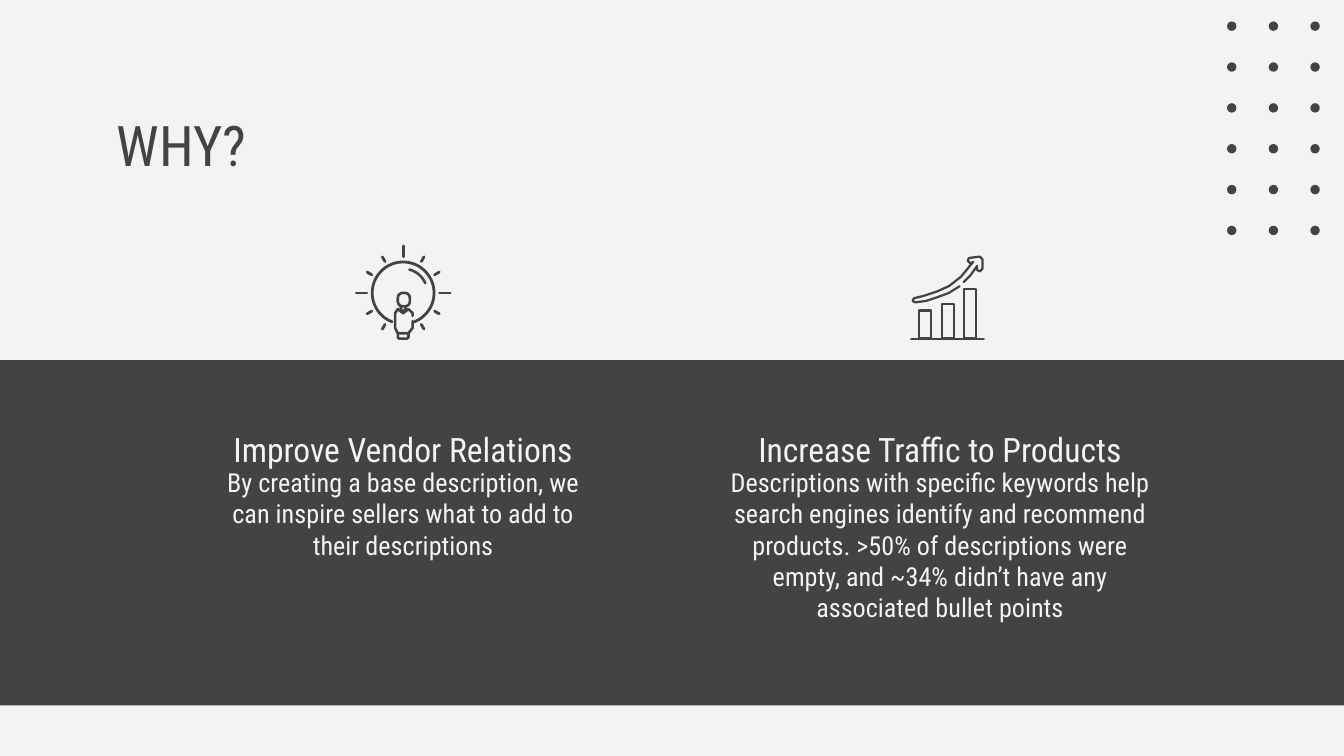
import dataclasses
import math
import typing

import pptx
import pptx.dml.color
import pptx.enum.shapes
import pptx.enum.text
import pptx.oxml.ns
import pptx.util
from lxml import etree

Inches = pptx.util.Inches
RGBColor = pptx.dml.color.RGBColor
Shape = pptx.enum.shapes.MSO_SHAPE
Anchor = pptx.enum.text.MSO_ANCHOR
Align = pptx.enum.text.PP_ALIGN
Point = typing.Tuple[float, float]

DARK = RGBColor(0x43, 0x43, 0x43)
LIGHT = RGBColor(0xF3, 0xF3, 0xF3)
FONT = "Roboto Condensed"
WIDE = 10
BULB = (3, 2.18)
BASE = 2.52


@dataclasses.dataclass
class Label:
    text: str
    left: float
    top: float
    width: float
    height: float
    size: int
    color: RGBColor = LIGHT
    align: Align = Align.CENTER
    anchor: Anchor = Anchor.TOP
    inset: float = 0.1
    after: int = 16


@dataclasses.dataclass
class Bar:
    left: float
    top: float


TITLE = Label("WHY?", 0.77, 0.72, 3.52, 0.91, 30, DARK, Align.LEFT, after=0)
LABELS = [
    Label("By creating a base description, we can inspire sellers what to add "
          "to their descriptions", 1.53, 3.37, 2.94, 1.2, 14),
    Label("Increase Traffic to Products", 5.38, 2.64, 3.23, 0.85, 18,
          anchor=Anchor.BOTTOM, inset=0),
    Label("Improve Vendor Relations", 1.53, 2.64, 2.94, 0.85, 18,
          anchor=Anchor.BOTTOM, inset=0),
    Label("Descriptions with specific keywords help search engines identify "
          "and recommend products. >50% of descriptions were empty, and ~34% "
          "didn’t have any associated bullet points",
          5.26, 3.37, 3.47, 1.2, 14),
]
BARS = [Bar(6.84, 2.31), Bar(7.01, 2.26), Bar(7.17, 2.15)]
BODY = [(3.07, 2.35), (3.07, 2.33), (3.04, 2.3), (3, 2.33), (2.96, 2.3),
        (2.94, 2.33), (2.94, 2.44), (2.96, 2.48), (3.04, 2.48),
        (3.07, 2.44), (3.07, 2.39)]
FOOT = [(2.96, 2.48), (2.96, 2.51), (2.97, 2.52), (3.03, 2.52),
        (3.04, 2.51), (3.04, 2.48)]
ARROW = [(7.14, 2.13), (7.06, 2.18), (6.98, 2.21), (6.89, 2.24),
         (6.81, 2.25), (6.79, 2.24), (6.8, 2.22), (6.88, 2.2),
         (6.97, 2.17), (7.06, 2.13), (7.15, 2.06), (7.24, 1.95),
         (7.22, 1.96), (7.2, 1.94), (7.21, 1.92), (7.29, 1.91),
         (7.31, 1.93), (7.31, 2), (7.29, 2.02), (7.27, 2.01),
         (7.27, 1.98), (7.22, 2.05), (7.17, 2.1)]


def apply(item: typing.Any, form: typing.Dict[str, typing.Any]) -> None:
    for name, value in form.items():
        setattr(item, name, value)


def write(box: typing.Any, label: Label) -> None:
    apply(box, {"left": Inches(label.left), "top": Inches(label.top),
                "width": Inches(label.width), "height": Inches(label.height)})
    frame = box.text_frame
    apply(frame, {"word_wrap": True, "vertical_anchor": label.anchor,
                  "auto_size": pptx.enum.text.MSO_AUTO_SIZE.NONE,
                  "margin_left": Inches(0.1), "margin_right": Inches(0.1),
                  "margin_top": Inches(label.inset),
                  "margin_bottom": Inches(label.inset)})
    para = frame.paragraphs[0]
    apply(para, {"alignment": label.align,
                 "space_before": pptx.util.Pt(0),
                 "space_after": pptx.util.Pt(label.after)})
    run = para.add_run()
    run.text = label.text
    apply(run.font, {"name": FONT, "size": pptx.util.Pt(label.size)})
    run.font.color.rgb = label.color


def solid(shapes: typing.Any, kind: Shape, left: float, top: float,
          width: float, height: float) -> typing.Any:
    shape = shapes.add_shape(kind, Inches(left), Inches(top),
                             Inches(width), Inches(height))
    shape.shadow.inherit = False
    shape.fill.solid()
    shape.fill.fore_color.rgb = DARK
    shape.line.fill.background()
    return shape


def ink(shape: typing.Any, width: float) -> None:
    shape.line.color.rgb = DARK
    shape.line.width = pptx.util.Pt(width)
    line = shape._element.spPr.find(pptx.oxml.ns.qn("a:ln"))
    line.set("cap", "rnd")


def stroke(shapes: typing.Any, points: typing.List[Point],
           width: float) -> None:
    spots = [(Inches(x), Inches(y)) for x, y in points]
    build = shapes.build_freeform(*spots[0])
    build.add_line_segments(spots[1:], close=False)
    shape = build.convert_to_shape()
    shape.shadow.inherit = False
    shape.fill.background()
    ink(shape, width)


def hollow(shapes: typing.Any, kind: Shape, left: float, top: float,
           width: float, height: float, weight: float) -> typing.Any:
    shape = solid(shapes, kind, left, top, width, height)
    shape.fill.background()
    ink(shape, weight)
    return shape


def link(shapes: typing.Any, start: Point, end: Point, width: float) -> None:
    line = shapes.add_connector(
        pptx.enum.shapes.MSO_CONNECTOR.STRAIGHT,
        *(Inches(value) for value in start + end))
    ink(line, width)
    etree.SubElement(line._element.spPr, pptx.oxml.ns.qn("a:effectLst"))


def polar(radius: float, angle: float) -> Point:
    turn = math.radians(angle)
    return (BULB[0] + radius * math.cos(turn),
            BULB[1] + radius * math.sin(turn))


def arc(radius: float, start: int, end: int) -> typing.List[Point]:
    return [polar(radius, angle) for angle in range(start, end + 1, 3)]


def bulb(shapes: typing.Any) -> None:
    stroke(shapes, arc(0.23, 111, 429), 1.5)
    stroke(shapes, arc(0.18, -75, -24), 1.4)
    head = hollow(shapes, Shape.ROUNDED_RECTANGLE, 2.96, 2.18, 0.09, 0.1, 1.4)
    head.adjustments[0] = 0.4
    for points in (BODY, FOOT, [(2.98, 2.29), (3, 2.33), (3.02, 2.29)]):
        stroke(shapes, points, 1.4)
    for angle in range(-240, 61, 30):
        reach = 0.35 if angle % 90 == 0 else 0.31
        link(shapes, polar(0.27, angle), polar(reach, angle), 1.5)


def chart(shapes: typing.Any) -> None:
    for bar in BARS:
        hollow(shapes, Shape.RECTANGLE, bar.left, bar.top, 0.09,
               BASE - bar.top, 1.2)
    link(shapes, (6.78, BASE), (7.32, BASE), 1.2)
    stroke(shapes, ARROW, 1.2)


def main() -> None:
    deck = pptx.Presentation()
    apply(deck, {"slide_width": Inches(WIDE),
                 "slide_height": Inches(WIDE * 9 / 16)})
    slide = deck.slides.add_slide(deck.slide_layouts[5])
    fill = slide.background.fill
    fill.solid()
    fill.fore_color.rgb = LIGHT
    shapes = slide.shapes
    solid(shapes, Shape.RECTANGLE, 0, 2.68, WIDE, 2.57)
    dots = shapes.add_group_shape().shapes
    for row in range(6):
        for col in range(3):
            solid(dots, Shape.OVAL, 9.13 + col * 0.31,
                  0.16 + row * 1.52 / 5, 0.07, 0.07)
    write(shapes.title, TITLE)
    for label in LABELS:
        write(shapes.add_textbox(0, 0, 0, 0), label)
    bulb(shapes.add_group_shape().shapes)
    chart(shapes.add_group_shape().shapes)
    deck.save("out.pptx")


if __name__ == "__main__":
    main()
